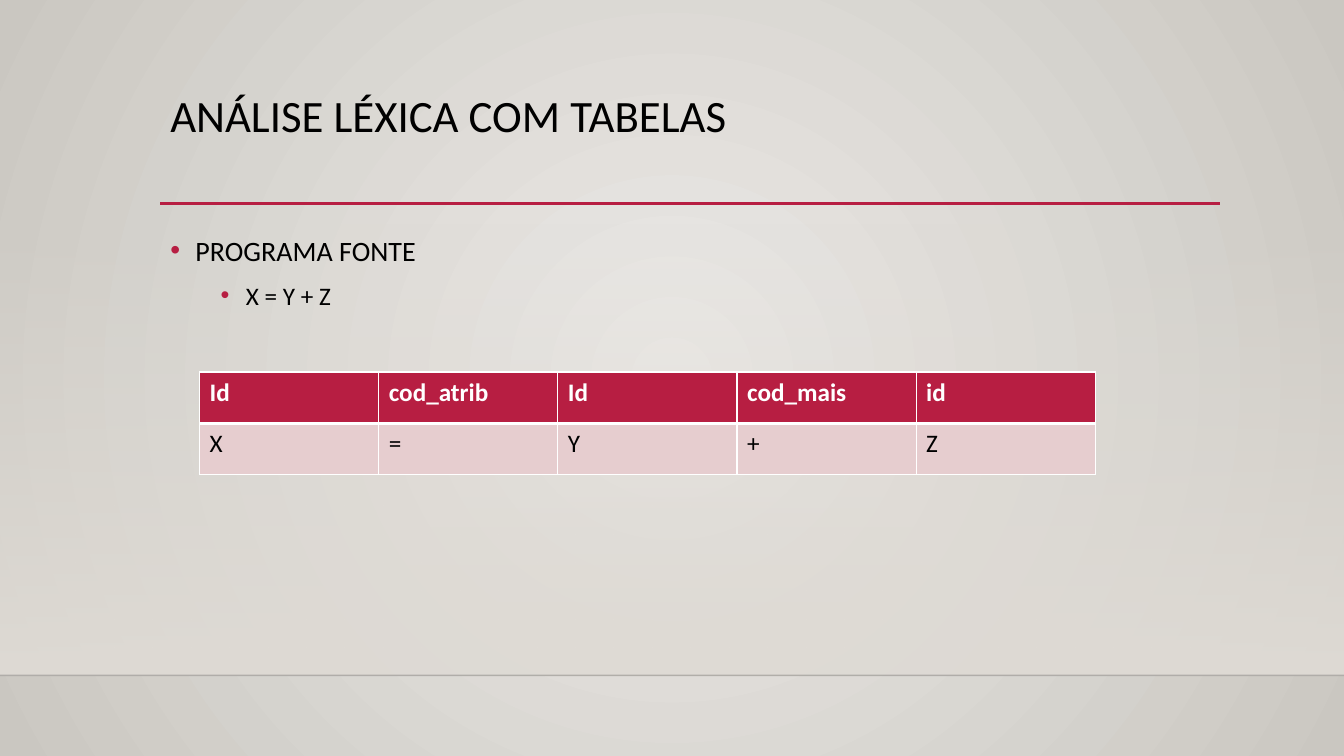
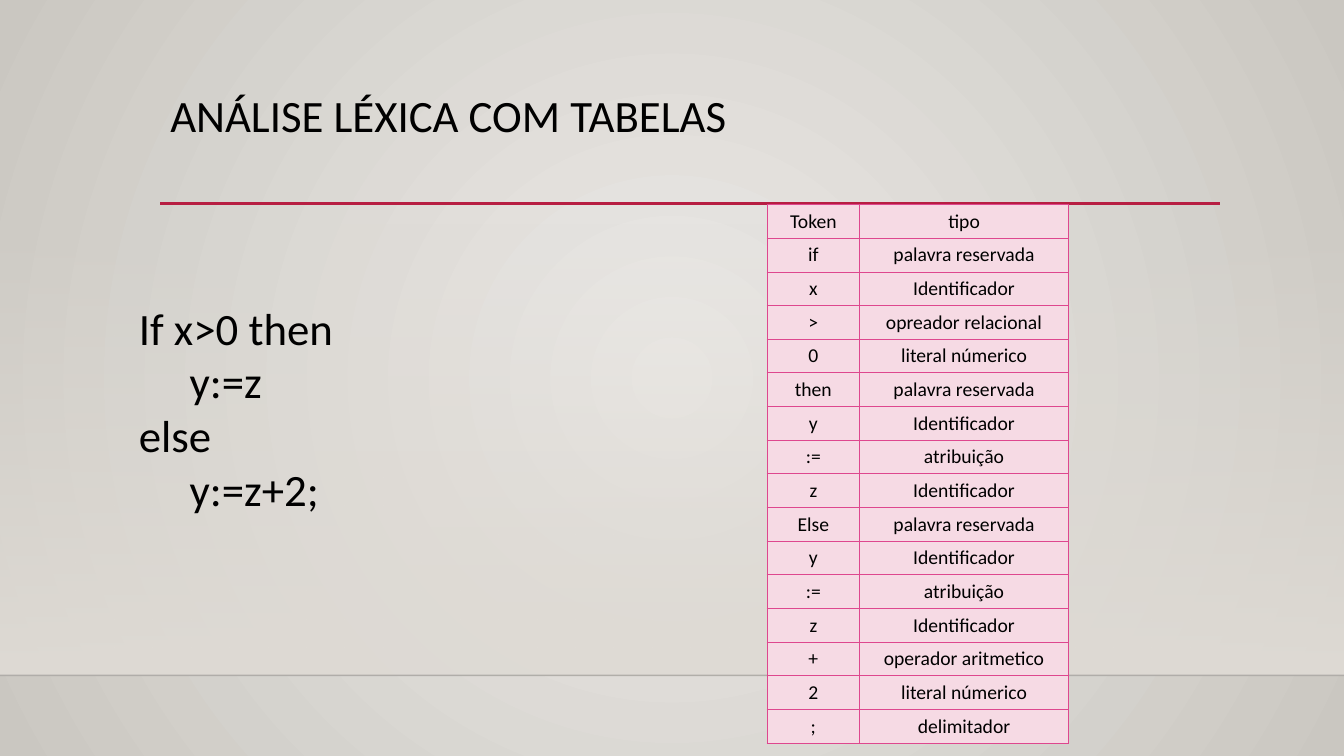
from lxml import etree
from pptx import Presentation
from pptx import util as u
from pptx.dml.color import RGBColor
from pptx.enum import shapes, text
from pptx.oxml import ns

# Shared look
FONT = "Calibri"
BLACK = RGBColor(0x00, 0x00, 0x00)
WHITE = RGBColor(0xFF, 0xFF, 0xFF)
CRIMSON = RGBColor(0xB7, 0x1E, 0x42)
BLUSH = RGBColor(0xE6, 0xCD, 0xCF)
PINK = RGBColor(0xDE, 0x47, 0x8E)
PALE_PINK = RGBColor(0xF6, 0xDA, 0xE4)
CENTER_GREY = RGBColor(0xEC, 0xEA, 0xE7)
EDGE_GREY = RGBColor(0xCA, 0xC7, 0xC1)
WALL_GREY = RGBColor(0xDF, 0xDB, 0xD5)
FLOOR_LINE = RGBColor(0x00, 0x00, 0x01)

SLIDE_W, SLIDE_H = u.Inches(13.33), u.Inches(7.5)
TITLE = "ANÁLISE LÉXICA COM TABELAS"

# Shared positions, in percent of the slide
LEFT, RIGHT, CONTENT_W = 11.93, 90.75, 78.75
RULE_Y, WALL_Y, FLOOR_Y = 26.93, 29.47, 89.33

# Slide contents
SOURCE_TOKENS = [
    ("Id", "cod_atrib", "Id", "cod_mais", "id"),
    ("X", "=", "Y", "+", "Z"),
]
CODE = ["If x>0 then", "     y:=z", "else", "     y:=z+2;"]
TOKEN_TYPES = [
    ("Token", "tipo"),
    ("if", "palavra reservada"),
    ("x", "Identificador"),
    (">", "opreador relacional"),
    ("0", "literal númerico"),
    ("then", "palavra reservada"),
    ("y", "Identificador"),
    (":=", "atribuição"),
    ("z", "Identificador"),
    ("Else", "palavra reservada"),
    ("y", "Identificador"),
    (":=", "atribuição"),
    ("z", "Identificador"),
    ("+", "operador aritmetico"),
    ("2", "literal númerico"),
    (";", "delimitador"),
]


def px(share):
    return u.Emu(int(SLIDE_W * share / 100))


def py(share):
    return u.Emu(int(SLIDE_H * share / 100))


def box(x, y, w, h):
    return px(x), py(y), px(w), py(h)


def sub(parent, tag, **attrs):
    return etree.SubElement(parent, ns.qn(tag), **attrs)


def style(p, size, color=BLACK, bold=False):
    for r in p.runs:
        r.font.name, r.font.size = FONT, u.Pt(size)
        r.font.color.rgb, r.font.bold = color, bold


def set_alpha(color_parent, percent):
    clr = color_parent.find(".//" + ns.qn("a:srgbClr"))
    sub(clr, "a:alpha", val=str(percent * 1000))


def gradient(fill, first, last):
    fill.gradient()
    for stop, color, pos in zip(fill.gradient_stops, (first, last), (0, 1)):
        stop.color.rgb, stop.position = color, pos


# Background, wall, floor line and title rule
def add_line(slide, x1, x2, y, color, width):
    line = slide.shapes.add_connector(
        shapes.MSO_CONNECTOR.STRAIGHT, px(x1), py(y), px(x2), py(y))
    line.line.color.rgb, line.line.width = color, u.Pt(width)
    sub(line._element.spPr, "a:effectLst")
    return line


def add_backdrop(slide):
    gradient(slide.background.fill, CENTER_GREY, EDGE_GREY)
    grad = slide._element.find(".//" + ns.qn("a:gradFill"))
    grad.remove(grad.find(ns.qn("a:lin")))
    circle = sub(grad, "a:path")
    circle.set("path", "circle")
    sub(circle, "a:fillToRect", l="50000", t="50000", r="50000", b="50000")

    wall = slide.shapes.add_shape(
        shapes.MSO_SHAPE.RECTANGLE, *box(0, WALL_Y, 100, FLOOR_Y - WALL_Y))
    wall.shadow.inherit = False
    wall.line.fill.background()
    gradient(wall.fill, WALL_GREY, WALL_GREY)
    wall.fill.gradient_angle = 270
    set_alpha(wall._element.spPr, 0)

    floor = add_line(slide, 0, 100, FLOOR_Y, FLOOR_LINE, 1)
    set_alpha(floor._element.spPr, 20)
    add_line(slide, LEFT, RIGHT, RULE_Y, CRIMSON, 2.5)


# Text
def add_text(slide, place, lines, size, spacing=None):
    tf = slide.shapes.add_textbox(*place).text_frame
    tf.word_wrap = True
    tf.text = "\n".join(lines)
    for p in tf.paragraphs:
        p.line_spacing = spacing
        style(p, size)
    return tf


def add_bullet(p, indent):
    pPr = p._p.get_or_add_pPr()
    pPr.set("marL", str(u.Inches(indent)))
    pPr.set("indent", str(u.Inches(-0.25)))
    sub(sub(pPr, "a:buClr"), "a:srgbClr", val=str(CRIMSON))
    sub(pPr, "a:buFont", typeface="Arial")
    sub(pPr, "a:buChar", char="•")


def add_bullets(slide, place, items):
    tf = add_text(slide, place, [item for item, _ in items], 20, 1.2)
    for p, (_, level) in zip(tf.paragraphs, items):
        add_bullet(p, 0.25 + 0.5 * level)
        style(p, 20 - 2 * level)
        if level:
            p.level, p.space_before = level, u.Pt(5)


# Tables
def set_borders(cell, color, left=1, right=1, top=1, bottom=1):
    tcPr = cell._tc.get_or_add_tcPr()
    sides = {"L": left, "R": right, "T": top, "B": bottom}
    for i, (side, width) in enumerate(sides.items()):
        ln = etree.Element(ns.qn("a:ln" + side), w=str(u.Pt(width)))
        sub(sub(ln, "a:solidFill"), "a:srgbClr", val=str(color))
        tcPr.insert(i, ln)


def add_table(slide, x, y, widths, row_h, rows, format_cell):
    place = box(x, y, sum(widths), row_h * len(rows))
    table = slide.shapes.add_table(len(rows), len(widths), *place).table
    table.first_row = table.horz_banding = False
    for col, width in zip(table.columns, widths):
        col.width = px(width)
    for i, values in enumerate(rows):
        table.rows[i].height = py(row_h)
        for j, value in enumerate(values):
            cell = table.cell(i, j)
            cell.text_frame.text = value
            cell.fill.solid()
            format_cell(cell, i)


def format_source_cell(cell, row):
    header = row == 0
    cell.fill.fore_color.rgb = CRIMSON if header else BLUSH
    style(cell.text_frame.paragraphs[0], 18, WHITE if header else BLACK, header)
    if header:
        set_borders(cell, WHITE, bottom=3)
    else:
        set_borders(cell, WHITE, top=3)


def format_type_cell(cell, row):
    cell.fill.fore_color.rgb = PALE_PINK
    cell.vertical_anchor = text.MSO_ANCHOR.BOTTOM
    p = cell.text_frame.paragraphs[0]
    p.alignment = text.PP_ALIGN.CENTER
    style(p, 14)
    set_borders(cell, PINK, 0.75, 0.75, 0.75, 0.75)


# Slides
def new_slide(prs):
    slide = prs.slides.add_slide(prs.slide_layouts[6])
    add_backdrop(slide)
    add_text(slide, box(LEFT, 11.73, CONTENT_W, 15.33), [TITLE], 32, 0.9)
    return slide


def main():
    prs = Presentation()
    prs.slide_width, prs.slide_height = SLIDE_W, SLIDE_H

    # Source program and its tokens
    slide = new_slide(prs)
    add_bullets(slide, box(LEFT, 29.33, CONTENT_W, 50.27),
                [("PROGRAMA FONTE", 0), ("X = Y + Z", 1)])
    add_table(slide, 14.85, 49.2, [13.33] * 5, 6.8,
              SOURCE_TOKENS, format_source_cell)

    # Code and the type of each token
    slide = new_slide(prs)
    add_table(slide, 57.08, 27.07, [6.88, 15.55], 4.13,
              TOKEN_TYPES, format_type_cell)
    add_text(slide, box(9.6, 39.07, 35.18, 30.13), CODE, 32)

    prs.save("out.pptx")


if __name__ == "__main__":
    main()
